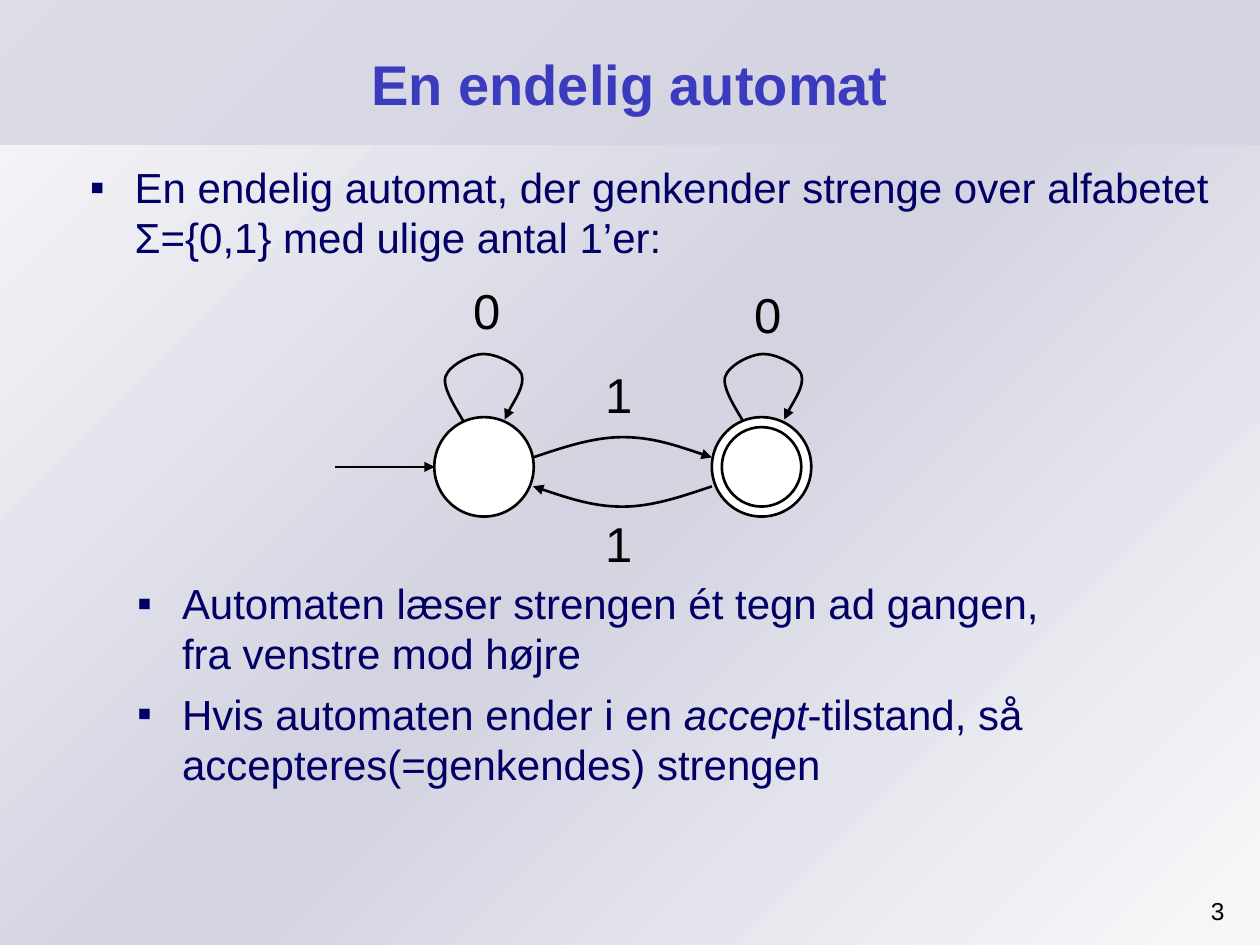
"""Build a slide that explains a two-state finite automaton."""
from copy import deepcopy

from lxml.etree import SubElement
from pptx import Presentation
from pptx.dml.color import RGBColor
from pptx.enum.shapes import MSO_CONNECTOR, MSO_SHAPE
from pptx.enum.text import MSO_ANCHOR, MSO_AUTO_SIZE, PP_ALIGN
from pptx.oxml.ns import qn
from pptx.util import Pt

PALE = RGBColor(0xF8, 0xF8, 0xFA)
LAVENDER = RGBColor(0xD3, 0xD3, 0xE1)
TITLE_BLUE = RGBColor(0x3B, 0x3B, 0xBE)
NAVY = RGBColor(0x00, 0x00, 0x66)
BLACK = RGBColor(0, 0, 0)
WHITE = RGBColor(0xFF, 0xFF, 0xFF)
FONT = "Arial"

WIDTH, HEIGHT = 720, 540
TITLE = "En endelig automat"
BULLETS = [
    {"spans": [("En endelig automat, der genkender strenge over alfabetet "
                "Σ={0,1} med ulige antal 1’er:", False)],
     "indent": 33.8, "before": 0},
    {"spans": [("Automaten læser strengen ét tegn ad gangen, \v"
                "fra venstre mod højre", False)],
     "indent": 60.8, "before": 180.5},
    {"spans": [("Hvis automaten ender i en ", False), ("accept", True),
               ("-tilstand, så accepteres(=genkendes) strengen", False)],
     "indent": 60.8, "before": 6},
]
HANGING = 25.6

STATE_Y = 266.8
STATES = [(276.6, [56.8]), (435.2, [56.8, 45.4])]
START_ARROW = (191.5, 248.4)
LOOP = [(264.7, 240.5), (262.5, 236.2), (252.4, 221.8), (254.6, 215.3),
        (256.7, 208.8), (269, 202.3), (276.5, 202.3),
        (283.7, 202.3), (295.9, 208.1), (298.1, 213.8),
        (300.2, 220.3), (290.2, 234.7), (288.4, 239.8)]
LOOP_SHIFT = 159.8
FORWARD = [(304.6, 261.4), (321.8, 255.6), (339.1, 249.8), (355.7, 249.8),
           (373, 249.8), (389.5, 255.6), (406.8, 261.4)]
ARC_MIRROR = 539.3
LABELS = [("0", 263.5, 157), ("0", 424.1, 159.1),
          ("1", 339.1, 204.5), ("1", 339.1, 289.7)]


def add_span(para, text, size=24, color=BLACK, bold=False, italic=False):
    """Append one formatted run to a paragraph."""
    span = para.add_run()
    span.text = text
    span.font.name = FONT
    span.font.size = Pt(size)
    span.font.color.rgb = color
    span.font.bold = bold
    span.font.italic = italic


def add_text(page, text, left, top, width, height, wrap=False, align=PP_ALIGN.LEFT, **style):
    """Add a text box that holds one line."""
    box = page.shapes.add_textbox(Pt(left), Pt(top), Pt(width), Pt(height))
    box.text_frame.word_wrap = wrap
    para = box.text_frame.paragraphs[0]
    para.alignment = align
    add_span(para, text, **style)


def place(shape, left, top, width, height):
    """Move and size a shape."""
    shape.left, shape.top = Pt(left), Pt(top)
    shape.width, shape.height = Pt(width), Pt(height)


def add_panel(deck, page, height, depth):
    """Add a full-width rectangle at the back of the slide master."""
    panel = page.shapes.add_shape(MSO_SHAPE.RECTANGLE, 0, 0, Pt(WIDTH), Pt(height))
    panel.shadow.inherit = False
    panel.line.fill.background()
    deck.slide_master.shapes._spTree.insert(2 + depth, panel._element)
    return panel


def add_backdrop(deck, page):
    """Add the diagonal gradient and the translucent title band."""
    fill = add_panel(deck, page, HEIGHT, 0).fill
    fill.gradient()
    fill.gradient_angle = 315
    for stop in fill.gradient_stops:
        stop.color.rgb = PALE
    first = fill.gradient_stops[0]._gs
    first.addnext(deepcopy(first))
    middle = fill.gradient_stops[1]
    middle.position = 0.5
    middle.color.rgb = LAVENDER

    band = add_panel(deck, page, 82.8, 1)
    band.fill.solid()
    band.fill.fore_color.rgb = LAVENDER
    color = band._element.spPr.find(f"{qn('a:solidFill')}/{qn('a:srgbClr')}")
    SubElement(color, qn("a:alpha"), val="72000")


def add_title(page):
    """Fill and format the title placeholder."""
    title = page.shapes.title
    place(title, 36, 11.9, 648, 71.3)
    title.text_frame.vertical_anchor = MSO_ANCHOR.MIDDLE
    title.text_frame.auto_size = MSO_AUTO_SIZE.NONE
    para = title.text_frame.paragraphs[0]
    para.alignment = PP_ALIGN.CENTER
    add_span(para, TITLE, size=32, color=TITLE_BLUE, bold=True)


def add_bullets(page):
    """Fill and format the body placeholder."""
    body = page.placeholders[1]
    place(body, 36, 88.8, 664.6, 436.3)
    frame = body.text_frame
    frame.auto_size = MSO_AUTO_SIZE.NONE
    for index, bullet in enumerate(BULLETS):
        para = frame.add_paragraph() if index else frame.paragraphs[0]
        properties = para._p.get_or_add_pPr()
        properties.set("marL", str(Pt(bullet["indent"])))
        properties.set("indent", str(-Pt(HANGING)))
        SubElement(properties, qn("a:buFont"), typeface=FONT)
        SubElement(properties, qn("a:buChar"), char="▪")
        para.line_spacing = Pt(28.6)
        para.space_before = Pt(bullet["before"])
        for text, italic in bullet["spans"]:
            for number, piece in enumerate(text.split("\v")):
                if number:
                    para.add_line_break()
                add_span(para, piece, color=NAVY, italic=italic)


def style_line(shape, arrow=False):
    """Give a shape or connector a black outline, with an optional arrowhead."""
    shape.line.color.rgb = BLACK
    shape.line.width = Pt(1.5)
    if arrow:
        SubElement(shape.line._get_or_add_ln(), qn("a:tailEnd"), type="triangle")


def add_curve(page, controls):
    """Add a transition arrow along a chain of cubic curves."""
    start, *others = [(Pt(x), Pt(y)) for x, y in controls]
    builder = page.shapes.build_freeform(*start)
    builder.add_line_segments(others, close=False)
    curve = builder.convert_to_shape()
    segments = list(curve._element.iter(qn("a:lnTo")))
    outline = segments[0].getparent()
    for first in range(0, len(segments), 3):
        bend = SubElement(outline, qn("a:cubicBezTo"))
        for segment in segments[first:first + 3]:
            bend.append(segment[0])
            outline.remove(segment)
    curve.shadow.inherit = False
    curve.fill.background()
    style_line(curve, arrow=True)


def add_automaton(page):
    """Draw the states, transitions and labels."""
    for center, diameters in STATES:
        for size in diameters:
            state = page.shapes.add_shape(MSO_SHAPE.OVAL, Pt(center - size / 2),
                                          Pt(STATE_Y - size / 2), Pt(size), Pt(size))
            state.shadow.inherit = False
            state.fill.solid()
            state.fill.fore_color.rgb = WHITE
            style_line(state)
    left, right = START_ARROW
    entry = page.shapes.add_connector(MSO_CONNECTOR.STRAIGHT, Pt(left), Pt(STATE_Y),
                                      Pt(right), Pt(STATE_Y))
    style_line(entry, arrow=True)
    SubElement(entry._element.spPr, qn("a:effectLst"))
    second_loop = [(x + LOOP_SHIFT, y) for x, y in LOOP]
    backward = [(x, ARC_MIRROR - y) for x, y in reversed(FORWARD)]
    for controls in (LOOP, second_loop, FORWARD, backward):
        add_curve(page, controls)
    for text, left, top in LABELS:
        add_text(page, text, left, top, 29.5, 38.9, size=28)


def main():
    """Assemble and save the deck."""
    deck = Presentation()
    deck.slide_width, deck.slide_height = Pt(WIDTH), Pt(HEIGHT)
    page = deck.slides.add_slide(deck.slide_layouts[1])
    add_backdrop(deck, page)
    add_title(page)
    add_bullets(page)
    add_automaton(page)
    add_text(page, "3", 649.2, 508.3, 57.6, 28.1, wrap=True, align=PP_ALIGN.RIGHT, size=14)
    deck.save("out.pptx")


if __name__ == "__main__":
    main()
